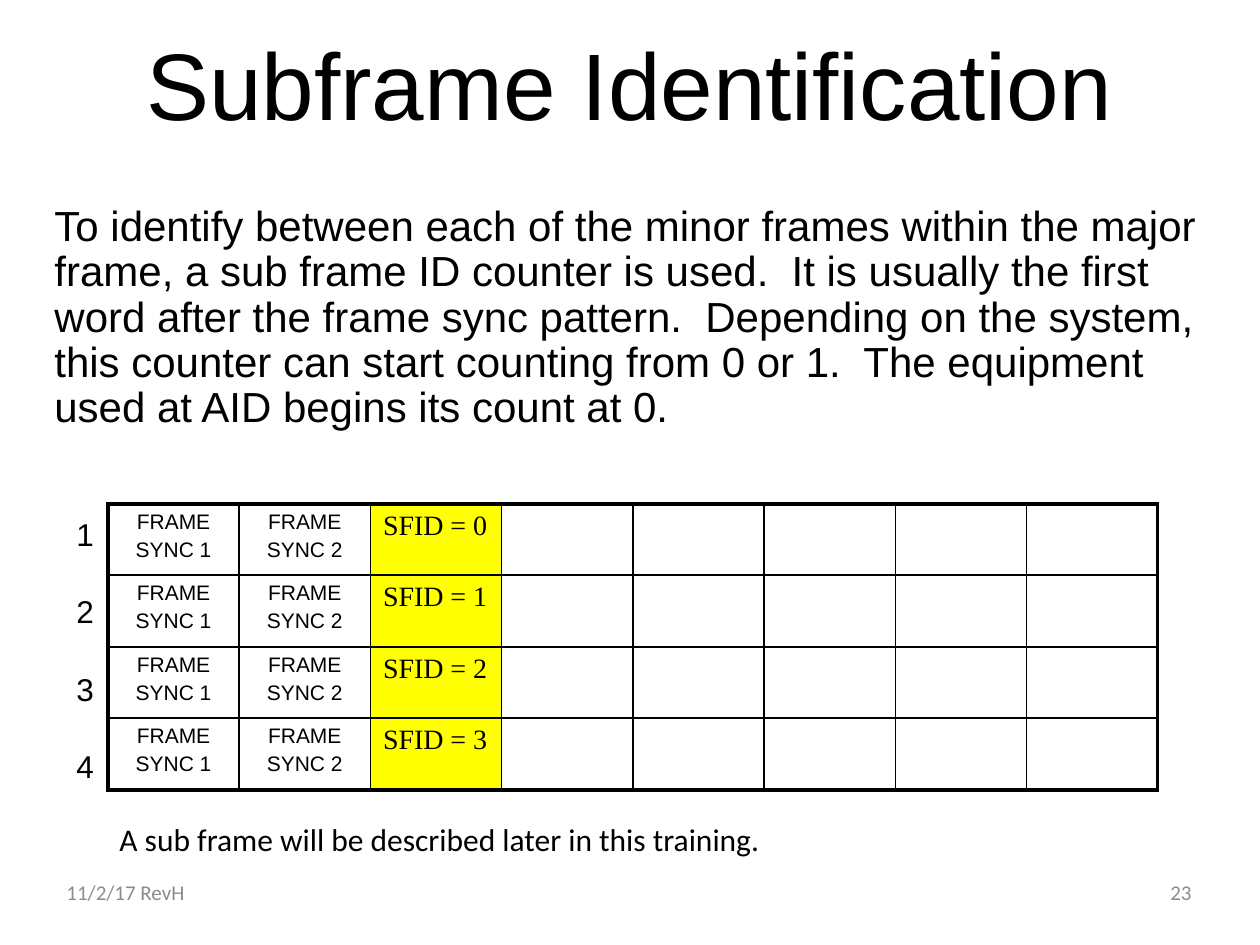
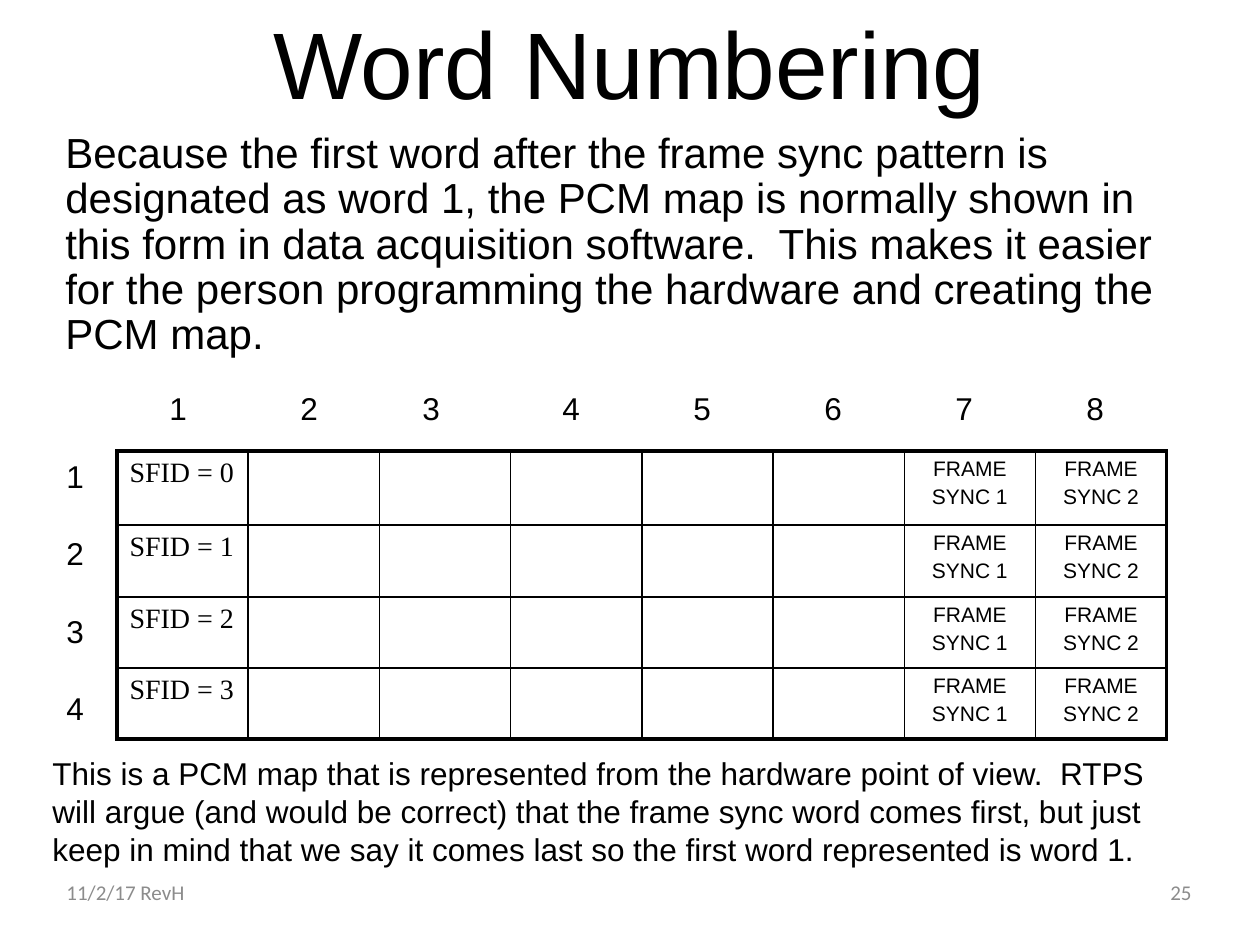
from dataclasses import dataclass
from typing import NamedTuple

from lxml.etree import SubElement
from pptx import Presentation
from pptx.dml.color import RGBColor
from pptx.enum.text import MSO_ANCHOR as Anchor, PP_ALIGN as Align
from pptx.oxml.ns import qn
from pptx.util import Pt

PX = 914400 / 126


def px(length):
    return round(length * PX)


class Box(NamedTuple):
    left: int
    top: int
    width: int
    height: int

    def emu(self):
        return [px(length) for length in self]


class Style(NamedTuple):
    font: str
    size: int
    color: str = "000000"


@dataclass(frozen=True)
class Theme:
    title = Style("Arial", 54)
    body = Style("Arial", 24)
    label = Style("Arial", 18)
    remark = Style("Calibri", 18)
    footer = Style("Calibri", 12, "8C8C8C")
    sync = Style("Arial", 12)
    counter = Style("Times New Roman", 16)
    border = "000000"
    paper = "FFFFFF"
    highlight = "FFFF00"
    outer_line = 2.25
    inner_line = 1


THEME = Theme()
SLIDE_WIDTH, SLIDE_HEIGHT = 1260, 945
COLUMNS, ROWS = 8, 4
WORD_PITCH = 131


def write(text_frame, text, style, align=Align.LEFT, line_spacing=None, gap=0):
    """Fill a frame with one paragraph per line; gap separates paragraphs."""
    text_frame.text = text
    for index, paragraph in enumerate(text_frame.paragraphs):
        paragraph.alignment = align
        if line_spacing:
            paragraph.line_spacing = line_spacing
        if gap and index:
            paragraph.space_before = Pt(gap)
        for run in paragraph.runs:
            run.font.name = style.font
            run.font.size = Pt(style.size)
            run.font.color.rgb = RGBColor.from_string(style.color)


def add_text(slide, box, text, style, anchor=Anchor.TOP, wrap=True, **format):
    text_frame = slide.shapes.add_textbox(*box.emu()).text_frame
    text_frame.word_wrap = wrap
    text_frame.vertical_anchor = anchor
    write(text_frame, text, style, **format)
    return text_frame


# Title, body and footer shared by the slides
def add_frame(slide, title_box, title, body_box, body, number):
    add_text(slide, Box(54, 867, 284, 50), "11/2/17 RevH", THEME.footer, Anchor.MIDDLE)
    add_text(slide, Box(920, 867, 284, 50), number, THEME.footer, Anchor.MIDDLE,
             align=Align.RIGHT)
    add_text(slide, title_box, title, THEME.title, Anchor.BOTTOM,
             align=Align.CENTER, line_spacing=0.9)
    add_text(slide, body_box, body, THEME.body, line_spacing=0.9)


# PCM map: one row per minor frame, one column per word
def set_borders(cell, row, column):
    outer_sides = {"lnL": column == 0, "lnR": column == COLUMNS - 1,
                   "lnT": row == 0, "lnB": row == ROWS - 1}
    properties = cell._tc.get_or_add_tcPr()
    for side, is_outer in outer_sides.items():
        weight = THEME.outer_line if is_outer else THEME.inner_line
        line = SubElement(properties, qn(f"a:{side}"), w=str(Pt(weight)))
        fill = SubElement(line, qn("a:solidFill"))
        SubElement(fill, qn("a:srgbClr"), val=THEME.border)


def add_pcm_map(slide, box, row_heights, counter_column, sync_column, counter_fill):
    table = slide.shapes.add_table(ROWS, COLUMNS, *box.emu()).table
    table.first_row = table.horz_banding = False
    for column in table.columns:
        column.width = px(box.width) // COLUMNS
    for row, height in enumerate(row_heights):
        table.rows[row].height = px(height)
        for column in range(COLUMNS):
            cell = table.cell(row, column)
            set_borders(cell, row, column)
            is_counter = column == counter_column
            cell.fill.solid()
            cell.fill.fore_color.rgb = RGBColor.from_string(
                counter_fill if is_counter else THEME.paper)
            sync_number = column - sync_column + 1
            if is_counter:
                write(cell.text_frame, f"SFID = {row}", THEME.counter)
            elif sync_number in (1, 2):
                write(cell.text_frame, f"FRAME\nSYNC {sync_number}", THEME.sync,
                      align=Align.CENTER, gap=2.4)


def add_row_numbers(slide, left, top):
    numbers = "\n".join(str(row + 1) for row in range(ROWS))
    add_text(slide, Box(left, top, 43, 277), numbers, THEME.label, wrap=False, gap=22.5)


def add_word_numbers(slide, box):
    numbers = "\t".join(str(column + 1) for column in range(COLUMNS))
    text_frame = add_text(slide, box, numbers, THEME.label, wrap=False)
    tabs = SubElement(text_frame.paragraphs[0]._p.get_or_add_pPr(), qn("a:tabLst"))
    for column in range(1, COLUMNS):
        nudge = -9 if column == 2 else 0  # word 3 sits a little to the left
        SubElement(tabs, qn("a:tab"), pos=str(px(column * WORD_PITCH + nudge)), algn="l")


def build_subframe_slide(slide):
    add_frame(
        slide, Box(94, 53, 1071, 94), "Subframe Identification", Box(42, 199, 1176, 284),
        "To identify between each of the minor frames within the major frame, a sub frame "
        "ID counter is used.  It is usually the first word after the frame sync pattern.  "
        "Depending on the system, this counter can start counting from 0 or 1.  The "
        "equipment used at AID begins its count at 0.", "23")
    map_box = Box(108, 504, 1050, 286)
    add_pcm_map(slide, map_box, [71, 72, 71, 72], counter_column=2, sync_column=0,
                counter_fill=THEME.highlight)
    add_row_numbers(slide, map_box.left - 44, map_box.top + 5)
    add_text(slide, Box(107, 814, 723, 50),
             "A sub frame will be described later in this training.", THEME.remark, wrap=False)


def build_word_slide(slide):
    add_frame(
        slide, Box(94, 21, 1071, 105), "Word Numbering", Box(53, 126, 1144, 284),
        "Because the first word after the frame sync pattern is designated as word 1, the "
        "PCM map is normally shown in this form in data acquisition software.  This makes "
        "it easier for the person programming the hardware and creating the PCM map.", "25")
    map_box = Box(117, 451, 1050, 288)
    add_pcm_map(slide, map_box, [74, 72, 71, 71], counter_column=0, sync_column=6,
                counter_fill=THEME.paper)
    add_word_numbers(slide, Box(map_box.left + 40, map_box.top - 68, 961, 50))
    add_row_numbers(slide, map_box.left - 63, map_box.top)
    add_text(
        slide, Box(40, 748, 1166, 127),
        "This is a PCM map that is represented from the hardware point of view.  RTPS will "
        "argue (and would be correct) that the frame sync word comes first, but just keep "
        "in mind that we say it comes last so the first word represented is word 1.",
        THEME.label)


def main():
    presentation = Presentation()
    presentation.slide_width = px(SLIDE_WIDTH)
    presentation.slide_height = px(SLIDE_HEIGHT)
    for build in (build_subframe_slide, build_word_slide):
        build(presentation.slides.add_slide(presentation.slide_layouts[6]))
    presentation.save("out.pptx")


if __name__ == "__main__":
    main()
